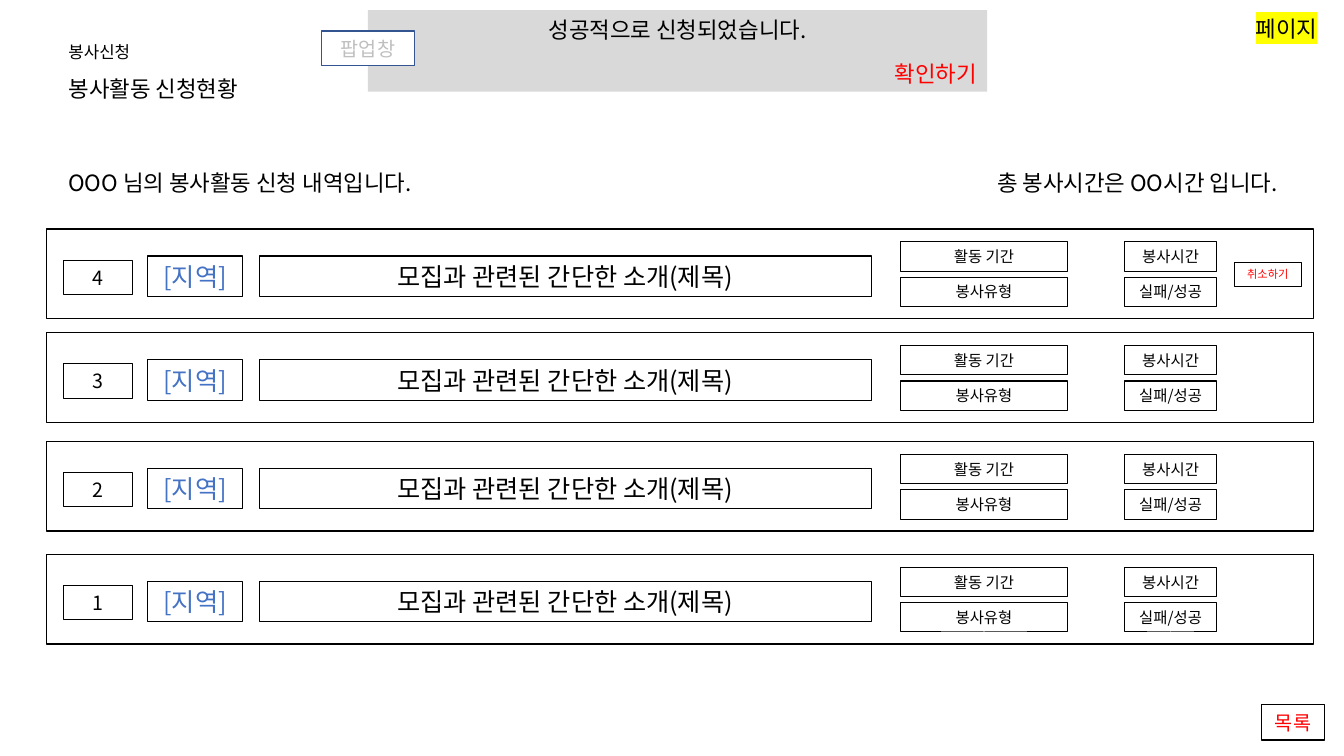
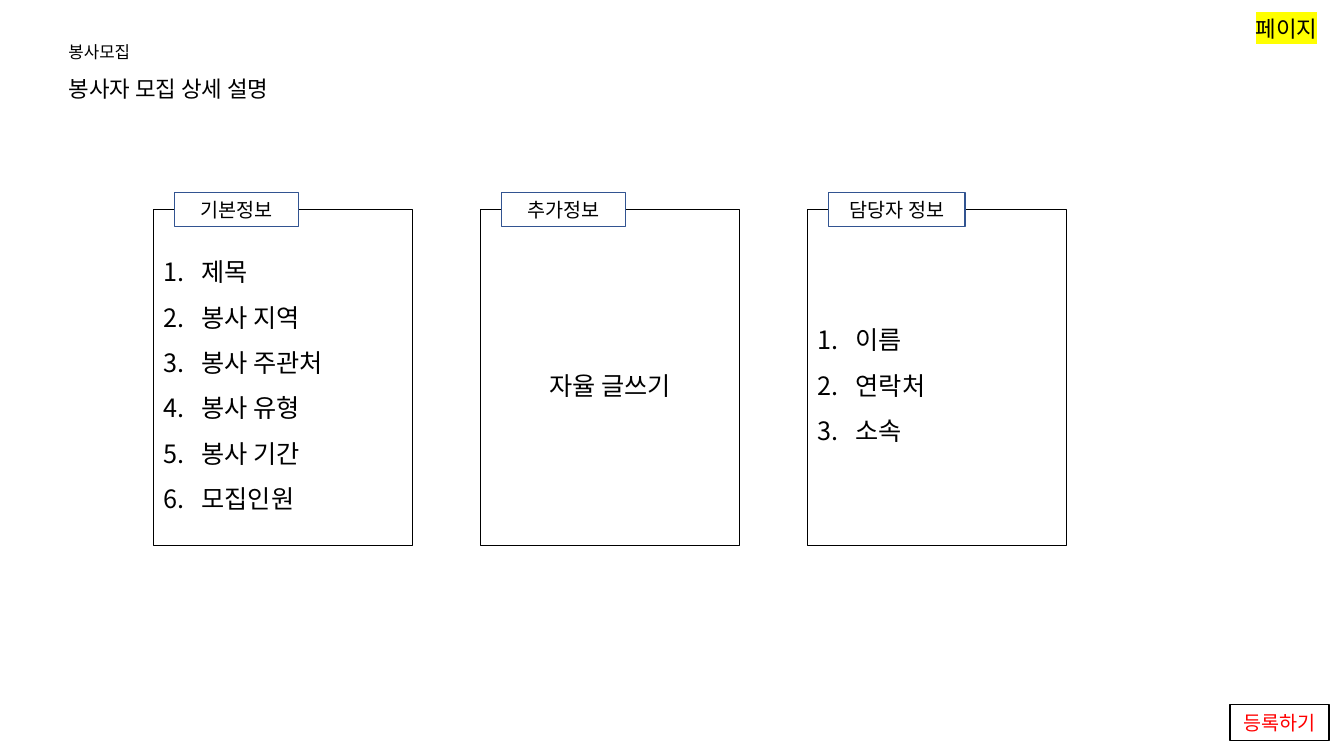
from dataclasses import dataclass

import pptx
import pptx.dml.color
import pptx.enum.shapes
import pptx.enum.text
import pptx.oxml.ns
import pptx.presentation
import pptx.shapes.autoshape
import pptx.shapes.base
import pptx.slide
import pptx.text.text
import pptx.util
from lxml import etree

Inches = pptx.util.Inches
Pt = pptx.util.Pt
qn = pptx.oxml.ns.qn
ALIGN = pptx.enum.text.PP_ALIGN
ANCHOR = pptx.enum.text.MSO_ANCHOR

FONT = "Noto Sans CJK KR"
BLACK, WHITE, RED = "000000", "FFFFFF", "FF0000"
BLUE, NAVY, YELLOW = "4472C4", "325491", "FFFF00"
GREY, PALE = "BFBFBF", "D9D9D9"
LIST_PITCH = 32.4


@dataclass(frozen=True)
class Box:
    left: float
    top: float
    width: float
    height: float
    text: str = ""
    size: float = 14
    color: str = BLACK
    fill: str | None = WHITE
    line: str | None = BLACK
    weight: float = 1


@dataclass(frozen=True)
class Row:
    top: float
    number: str
    cancellable: bool = False


@dataclass(frozen=True)
class Panel:
    heading: str
    tab_width: float
    items: tuple[str, ...]
    numbered: bool = True


ROWS = (Row(2.27, "4", True), Row(3.3, "3"), Row(4.38, "2"), Row(5.5, "1"))

CELLS = (
    Box(1.46, 0.27, 0.95, 0.4, "[지역]", 18, BLUE, None, BLACK, 0.75),
    Box(2.57, 0.27, 6.07, 0.4, "모집과 관련된 간단한 소개(제목)", 18, BLACK, None, BLACK, 0.75),
    Box(8.93, 0.13, 1.66, 0.29, "활동 기간", 11, BLACK, None, BLACK, 0.75),
    Box(8.93, 0.48, 1.66, 0.29, "봉사유형", 11, BLACK, None, BLACK, 0.75),
    Box(11.15, 0.13, 0.92, 0.29, "봉사시간", 11, BLACK, None, BLACK, 0.75),
    Box(11.15, 0.48, 0.92, 0.29, "실패/성공", 11, BLACK, None, BLACK, 0.75),
)

PANELS = (
    Panel("기본정보", 1.23, ("제목", "봉사 지역", "봉사 주관처", "봉사 유형", "봉사 기간", "모집인원")),
    Panel("추가정보", 1.23, ("자율 글쓰기",), False),
    Panel("담당자 정보", 1.35, ("이름", "연락처", "소속")),
)


def rgb(color: str) -> pptx.dml.color.RGBColor:
    return pptx.dml.color.RGBColor.from_string(color)


def add_run(p: pptx.text.text._Paragraph, text: str, size: float,
            color: str = BLACK, highlight: str | None = None) -> None:
    r = p.add_run()
    r.text = text
    r.font.size = Pt(size)
    r.font.color.rgb = rgb(color)
    r_pr = r.font._element
    if highlight:
        mark = etree.SubElement(r_pr, qn("a:highlight"))
        etree.SubElement(mark, qn("a:srgbClr")).set("val", highlight)
    for tag in ("a:latin", "a:ea"):
        etree.SubElement(r_pr, qn(tag)).set("typeface", FONT)


def set_frame(sp: pptx.shapes.base.BaseShape, side: float = 0.1) -> pptx.text.text.TextFrame:
    tf = sp.text_frame
    tf.word_wrap = True
    tf.auto_size = pptx.enum.text.MSO_AUTO_SIZE.NONE
    tf.vertical_anchor = ANCHOR.MIDDLE
    tf.margin_left = tf.margin_right = Inches(side)
    tf.margin_top = tf.margin_bottom = 0
    return tf


def add_box(s: pptx.slide.Slide, box: Box, dy: float = 0) -> pptx.shapes.autoshape.Shape:
    sp = s.shapes.add_shape(
        pptx.enum.shapes.MSO_SHAPE.RECTANGLE, Inches(box.left), Inches(box.top + dy),
        Inches(box.width), Inches(box.height))
    sp.shadow.inherit = False
    if box.fill:
        sp.fill.solid()
        sp.fill.fore_color.rgb = rgb(box.fill)
    else:
        sp.fill.background()
    if box.line:
        sp.line.color.rgb = rgb(box.line)
        sp.line.width = Pt(box.weight)
    else:
        sp.line.fill.background()
    if box.text:
        p = set_frame(sp, 0.05).paragraphs[0]
        p.alignment = ALIGN.CENTER
        add_run(p, box.text, box.size, box.color)
    return sp


def add_label(s: pptx.slide.Slide, left: float, top: float, width: float, height: float,
              text: str, size: float = 16, align: ALIGN = ALIGN.LEFT,
              highlight: str | None = None) -> None:
    sp = s.shapes.add_textbox(Inches(left), Inches(top), Inches(width), Inches(height))
    p = set_frame(sp).paragraphs[0]
    p.alignment = align
    add_run(p, text, size, highlight=highlight)


def add_page(prs: pptx.presentation.Presentation, section: str, title: str) -> pptx.slide.Slide:
    s = prs.slides.add_slide(prs.slide_layouts[5])
    sp = s.shapes.title
    sp.left, sp.top = Inches(0.58), Inches(0.69)
    sp.width, sp.height = Inches(4.62), Inches(0.37)
    p = set_frame(sp).paragraphs[0]
    p.alignment = ALIGN.LEFT
    add_run(p, title, 16)
    add_label(s, 0.58, 0.36, 1.68, 0.3, section, 12)
    add_label(s, 12.29, 0.1, 0.94, 0.37, "페이지", align=ALIGN.CENTER, highlight=YELLOW)
    return s


def add_row(s: pptx.slide.Slide, row: Row) -> None:
    add_box(s, Box(0.46, row.top, 12.57, 0.89))
    add_box(s, Box(0.63, row.top + 0.31, 0.68, 0.34, row.number, fill=None, weight=0.75))
    for cell in CELLS:
        add_box(s, cell, row.top)
    if row.cancellable:
        add_box(s, Box(12.24, row.top + 0.33, 0.67, 0.24, "취소하기", 8, RED, None, BLACK, 0.75))


def add_popup(s: pptx.slide.Slide) -> None:
    sp = add_box(s, Box(3.65, 0.1, 6.14, 0.81, fill=PALE, line=None))
    tf = set_frame(sp)
    tf.vertical_anchor = ANCHOR.TOP
    tf.margin_top = Inches(0.05)
    message, confirm = tf.paragraphs[0], tf.add_paragraph()
    message.alignment, confirm.alignment = ALIGN.CENTER, ALIGN.RIGHT
    message.line_spacing = confirm.line_spacing = Pt(20)
    confirm.space_before = Pt(11.4)
    add_run(message, "성공적으로 신청되었습니다.", 16)
    add_run(confirm, "확인하기", 16, RED)
    add_box(s, Box(3.19, 0.31, 0.92, 0.34, "팝업창", color=GREY, line=NAVY))


def number_paragraph(p: pptx.text.text._Paragraph) -> None:
    p_pr = p._p.get_or_add_pPr()
    indent = Inches(0.38)
    p_pr.set("marL", str(indent))
    p_pr.set("indent", str(-indent))
    etree.SubElement(p_pr, qn("a:buFont")).set("typeface", FONT)
    etree.SubElement(p_pr, qn("a:buAutoNum")).set("type", "arabicPeriod")


def add_panel(s: pptx.slide.Slide, panel: Panel, left: float) -> None:
    tf = set_frame(add_box(s, Box(left, 2.08, 2.57, 3.33)))
    for i, item in enumerate(panel.items):
        p = tf.add_paragraph() if i else tf.paragraphs[0]
        p.alignment = ALIGN.LEFT if panel.numbered else ALIGN.CENTER
        p.line_spacing = Pt(LIST_PITCH)
        if panel.numbered:
            number_paragraph(p)
        add_run(p, item, 18)
    add_box(s, Box(left + 0.21, 1.91, panel.tab_width, 0.34, panel.heading, line=NAVY))


def build_status(prs: pptx.presentation.Presentation) -> None:
    s = add_page(prs, "봉사신청", "봉사활동 신청현황")
    add_label(s, 0.58, 1.63, 4.62, 0.37, "OOO 님의 봉사활동 신청 내역입니다.")
    add_label(s, 9.79, 1.63, 3.32, 0.37, "총 봉사시간은 OO시간 입니다.")
    for row in ROWS:
        add_row(s, row)
    add_popup(s)
    add_box(s, Box(12.51, 6.99, 0.63, 0.35, "목록", color=RED))


def build_details(prs: pptx.presentation.Presentation) -> None:
    s = add_page(prs, "봉사모집", "봉사자 모집 상세 설명")
    for i, panel in enumerate(PANELS):
        add_panel(s, panel, 1.52 + 3.245 * i)
    add_box(s, Box(12.2, 6.99, 0.98, 0.36, "등록하기", color=RED))


prs = pptx.Presentation()
prs.slide_width, prs.slide_height = Inches(13.33), Inches(7.5)
build_status(prs)
build_details(prs)
prs.save("out.pptx")
